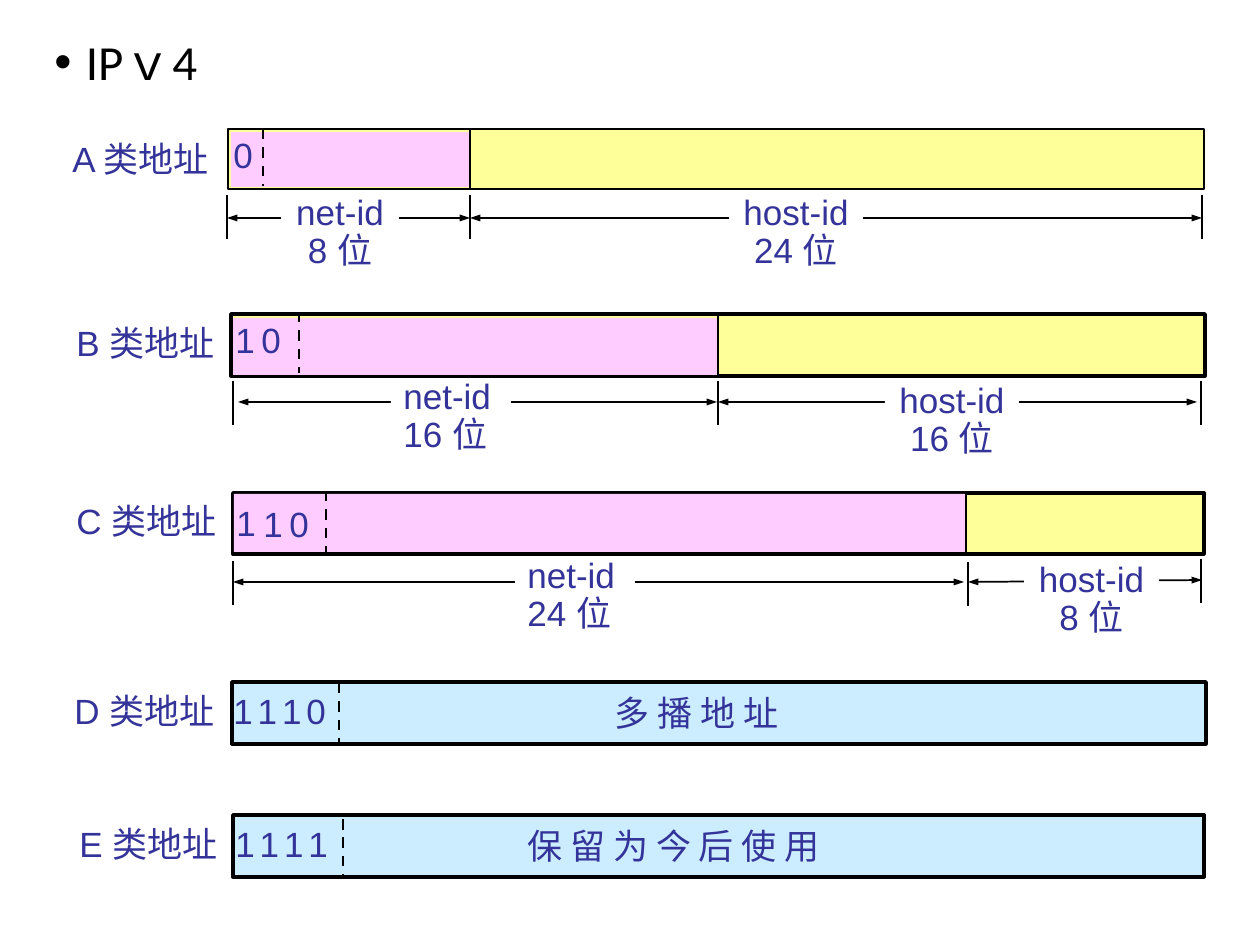
from lxml.etree import SubElement
from pptx import Presentation
from pptx.dml.color import RGBColor
from pptx.enum.dml import MSO_LINE
from pptx.enum.shapes import MSO_CONNECTOR, MSO_SHAPE
from pptx.enum.text import MSO_AUTO_SIZE, PP_ALIGN
from pptx.oxml.ns import qn
from pptx.util import Emu, Pt

PX = 914400 / 126
COLORS = {
    "black": "000000", "white": "FFFFFF", "text": "333399",
    "net": "FFCCFF", "host": "FFFF99", "whole": "CCECFF",
}


def add_text(text, x, y, w, h=54, size=20, font="Arial", color="text", align=PP_ALIGN.LEFT,
             spacing=None, fill=None, wrap=False, grow=True, gap_size=None):
    """Add a text box; gap_size sets the point size of the spaces between characters."""
    tb = s.shapes.add_textbox(*[Emu(round(v * PX)) for v in (x, y, w, h)])
    if fill:
        tb.fill.solid()
        tb.fill.fore_color.rgb = RGBColor.from_string(COLORS[fill])
    tf = tb.text_frame
    tf.word_wrap = wrap
    tf.auto_size = MSO_AUTO_SIZE.SHAPE_TO_FIT_TEXT if grow else MSO_AUTO_SIZE.NONE
    for i, line in enumerate(text.split("\n")):
        p = tf.paragraphs[0] if i == 0 else tf.add_paragraph()
        p.alignment = align
        if spacing:
            p.line_spacing = spacing
        for part in (line if gap_size else [line]):
            r = p.add_run()
            r.text = part
            r.font.name = font
            r.font.size = Pt(gap_size if part == " " else size)
            r.font.color.rgb = RGBColor.from_string(COLORS[color])
    return tb


def add_line(ends, width=1.0, dashed=False, arrows=False):
    cn = s.shapes.add_connector(MSO_CONNECTOR.STRAIGHT, *[Emu(round(v * PX)) for v in ends])
    cn.line.color.rgb = RGBColor.from_string(COLORS["black"])
    cn.line.width = Pt(width)
    if dashed:
        cn.line.dash_style = MSO_LINE.DASH
    if arrows:
        ln = cn._element.spPr.find(qn("a:ln"))
        for tag in ("a:headEnd", "a:tailEnd"):
            SubElement(ln, qn(tag), type="triangle", w="sm", len="med")
    SubElement(cn._element.spPr, qn("a:effectLst"))


prs = Presentation()
prs.slide_width, prs.slide_height = Emu(round(1260 * PX)), Emu(round(945 * PX))
s = prs.slides.add_slide(prs.slide_layouts[6])

title = add_text("IPｖ4", 42, 32, 1176, 842, size=28, font="Calibri", color="black",
                 spacing=0.9, wrap=True, grow=False)
pPr = title.text_frame.paragraphs[0]._p.get_or_add_pPr()
pPr.set("marL", "228600")
pPr.set("indent", "-228600")
SubElement(pPr, qn("a:buFont"), typeface="Arial")
SubElement(pPr, qn("a:buChar"), char="•")

# Lines: x1, y1, x2, y2. Texts: text, x, y, width; fields add an alignment.
L, C = PP_ALIGN.LEFT, PP_ALIGN.CENTER
rows = [
    dict(name=("A 类地址", 60, 131, 178), bar=(228, 129, 976, 60), border=1.5,
         net=(231, 132, 238, 55), divider=(470, 129, 470, 190), dash=(263, 129, 263, 186),
         ticks=[(227, 195), (470, 195), (1202, 195)],
         arrows=[(227, 218, 470, 218), (470, 218, 1202, 218)],
         fields=[("net-id\n8 位", 281, 189, 118, C), ("host-id\n24 位", 729, 189, 134, C)],
         prefix=[("0", 221, 127, 48)]),
    dict(name=("B 类地址", 64, 315, 178), bar=(231, 314, 974, 62), border=2,
         net=(233, 318, 484, 57), divider=(718, 315, 718, 374), dash=(299, 312, 299, 373),
         ticks=[(233, 381), (718, 381), (1201, 381)],
         arrows=[(238, 402, 717, 402), (718, 402, 1197, 402)],
         fields=[("net-id\n16 位", 391, 373, 120, L), ("host-id\n16 位", 885, 377, 134, C)],
         prefix=[("1", 223, 312, 67), ("0", 249, 312, 48)]),
    dict(name=("C 类地址", 64, 493, 178), bar=(233, 493, 971, 61), border=2,
         net=(234, 494, 731, 58), divider=(966, 491, 966, 552), dash=(326, 491, 326, 553),
         ticks=[(233, 561), (968, 562), (1201, 559)],
         arrows=[(233, 582, 964, 582), (968, 582, 1202, 580)],
         fields=[("net-id\n24 位", 515, 552, 120, L), ("host-id\n8 位", 1024, 556, 135, C)],
         prefix=[("1", 224, 495, 67), ("1", 251, 496, 67), ("0", 277, 496, 48)]),
    dict(name=("D 类地址", 62, 683, 178), bar=(232, 682, 974, 62), border=2,
         dash=(339, 683, 339, 743), prefix=[("1 1 1 0", 221, 683, 128)],
         usage=("多 播 地 址", 602, 685, 224)),
    dict(name=("E 类地址", 67, 816, 178), bar=(233, 815, 971, 62), border=2,
         dash=(343, 819, 343, 879), prefix=[("1 1 1 1", 223, 816, 128)],
         usage=("保 留 为 今 后 使 用", 515, 818, 382)),
]

for row in rows:
    # Arrows lie beneath the white field labels, which interrupt them.
    for ends in row.get("arrows", []):
        add_line(ends, arrows=True)
    for text, x, y, w, align in row.get("fields", []):
        add_text(text, x, y, w, 88, align=align, spacing=0.9, fill="white")

    blocks = [(row["bar"], "host" if "net" in row else "whole", row["border"])]
    if "net" in row:
        blocks.append((row["net"], "net", None))
    for box, fill, border in blocks:
        sp = s.shapes.add_shape(MSO_SHAPE.RECTANGLE, *[Emu(round(v * PX)) for v in box])
        sp.shadow.inherit = False
        sp.fill.solid()
        sp.fill.fore_color.rgb = RGBColor.from_string(COLORS[fill])
        if border:
            sp.line.color.rgb = RGBColor.from_string(COLORS["black"])
            sp.line.width = Pt(border)
        else:
            sp.line.fill.background()

    add_line(row["dash"], 1.5, dashed=True)
    if "divider" in row:
        add_line(row["divider"], 1.5)
    for x, y in row.get("ticks", []):
        add_line((x, y, x, y + 44))

    add_text(*row["name"])
    for bits in row["prefix"]:
        add_text(*bits, gap_size=10)
    if "usage" in row:
        add_text(*row["usage"])

prs.save("out.pptx")
